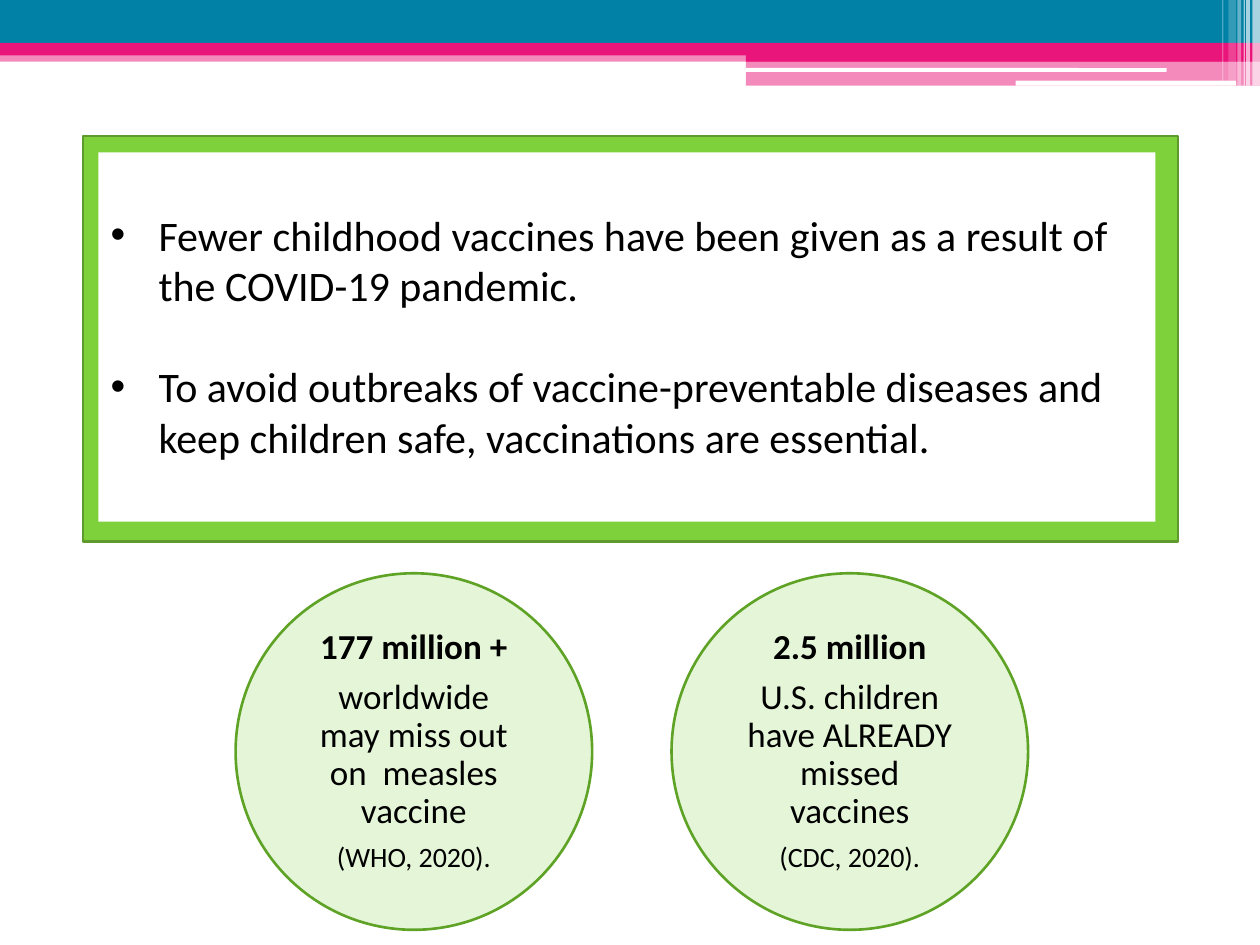
from lxml import etree
from pptx import Presentation
from pptx.dml.color import RGBColor
from pptx.enum.shapes import MSO_SHAPE
from pptx.enum.text import MSO_ANCHOR, PP_ALIGN
from pptx.oxml.ns import qn
from pptx.util import Inches, Pt

RECTANGLE = MSO_SHAPE.RECTANGLE
ROUNDED = MSO_SHAPE.ROUNDED_RECTANGLE
OVAL = MSO_SHAPE.OVAL
TOP, MIDDLE = MSO_ANCHOR.TOP, MSO_ANCHOR.MIDDLE
LEFT, CENTER = PP_ALIGN.LEFT, PP_ALIGN.CENTER

TEAL = RGBColor(0x00, 0x81, 0xA5)
PINK = RGBColor(0xEA, 0x15, 0x7A)
WHITE = RGBColor(0xFF, 0xFF, 0xFF)
BLACK = RGBColor(0x00, 0x00, 0x00)
GREEN = RGBColor(0x7F, 0xD1, 0x3B)
FRAME_EDGE = RGBColor(0x5E, 0x9B, 0x2C)
PALE_GREEN = RGBColor(0xE5, 0xF6, 0xD8)
CIRCLE_EDGE = RGBColor(0x5F, 0xA3, 0x26)

BANDS = [
    (0, 0.4, 10, 0.09, PINK, 50),
    (0, 0, 10, 0.34, TEAL, 100),
    (0, 0.34, 10, 0.1, PINK, 100),
    (5.92, 0.39, 4.08, 0.1, PINK, 100),
    (5.92, 0.48, 4.08, 0.2, PINK, 50),
]
WHITE_BARS = [(5.91, 0.54, 3.35, 0.03), (8.06, 0.64, 1.75, 0.04)]
STRIPES = [
    (9.94, 0.06, 0.68, 65),
    (9.89, 0.03, 0.68, 65),
    (9.87, 0.01, 0.68, 60),
    (9.82, 0.03, 0.68, 40),
    (9.75, 0.06, 0.64, 20),
    (9.7, 0.01, 0.64, 30),
]
BULLETS = [
    "Fewer childhood vaccines have been given as a result of the COVID-19 pandemic.",
    "To avoid outbreaks of vaccine-preventable diseases and keep children safe, "
    "vaccinations are essential.",
]
FACTS = [
    ("177 million +", "worldwide may miss out on  measles vaccine", "(WHO, 2020)."),
    ("2.5 million", "U.S. children have ALREADY missed vaccines", "(CDC, 2020)."),
]


def write_paragraph(paragraph, text, size=24, bold=False, align=LEFT,
                    before=0, after=0, spacing=1.0):
    paragraph.alignment = align
    paragraph.space_before = Pt(before)
    paragraph.space_after = Pt(after)
    paragraph.line_spacing = spacing
    run = paragraph.add_run()
    run.text = text
    run.font.name = "Calibri"
    run.font.size = Pt(size)
    run.font.bold = bold
    run.font.color.rgb = BLACK


class SlideBuilder:
    def __init__(self, slide):
        self.slide = slide

    def shape(self, kind, left, top, width, height, fill, opacity=100, edge=None):
        shape = self.slide.shapes.add_shape(
            kind, Inches(left), Inches(top), Inches(width), Inches(height))
        shape.shadow.inherit = False
        shape.fill.solid()
        shape.fill.fore_color.rgb = fill
        if opacity < 100:
            color = shape.fill._xPr.find(qn("a:solidFill"))[0]
            etree.SubElement(color, qn("a:alpha"), val=str(opacity * 1000))
        if edge is None:
            shape.line.fill.background()
        else:
            shape.line.color.rgb = edge
            shape.line.width = Pt(1.5)
        return shape

    def text_frame(self, shape, anchor, horizontal, top, bottom):
        frame = shape.text_frame
        frame.word_wrap = True
        frame.vertical_anchor = anchor
        frame.margin_left = frame.margin_right = Inches(horizontal)
        frame.margin_top = Inches(top)
        frame.margin_bottom = Inches(bottom)
        return frame

    def paragraphs(self, frame, count):
        return [frame.paragraphs[0]] + [frame.add_paragraph() for _ in range(count - 1)]

    def header(self):
        for left, top, width, height, color, opacity in BANDS:
            self.shape(RECTANGLE, left, top, width, height, color, opacity)
        for bar in WHITE_BARS:
            self.shape(ROUNDED, *bar, WHITE)
        for left, width, height, opacity in STRIPES:
            self.shape(RECTANGLE, left, 0, width, height, WHITE, opacity)

    def bullet_panel(self, bullets):
        self.shape(RECTANGLE, 0.66, 1.08, 8.69, 3.22, GREEN, edge=FRAME_EDGE)
        panel = self.shape(RECTANGLE, 0.78, 1.21, 8.39, 2.93, WHITE)
        frame = self.text_frame(panel, TOP, 0.1, 0.45, 0.05)
        for index, paragraph in enumerate(self.paragraphs(frame, len(bullets))):
            write_paragraph(paragraph, bullets[index], before=29 if index else 0)
            properties = paragraph._p.get_or_add_pPr()
            properties.set("marL", str(Inches(0.38)))
            properties.set("indent", str(-Inches(0.38)))
            etree.SubElement(properties, qn("a:buFont"), typeface="Arial")
            etree.SubElement(properties, qn("a:buChar"), char="•")

    def fact_circle(self, left, fact):
        circle = self.shape(OVAL, left, 4.55, 2.83, 2.83, PALE_GREEN, edge=CIRCLE_EDGE)
        frame = self.text_frame(circle, MIDDLE, 0.16, 0.03, 0.03)
        styles = [(20, True), (20, False), (16, False)]
        paragraphs = self.paragraphs(frame, len(fact))
        for paragraph, text, (size, bold) in zip(paragraphs, fact, styles):
            write_paragraph(paragraph, text, size=size, bold=bold, align=CENTER,
                            after=size * 0.35, spacing=0.9)


def main():
    presentation = Presentation()
    presentation.slide_width = Inches(10)
    presentation.slide_height = Inches(7.5)
    builder = SlideBuilder(presentation.slides.add_slide(presentation.slide_layouts[6]))
    builder.header()
    builder.bullet_panel(BULLETS)
    for index, fact in enumerate(FACTS):
        builder.fact_circle(1.87 + index * 3.46, fact)
    presentation.save("out.pptx")


if __name__ == "__main__":
    main()
